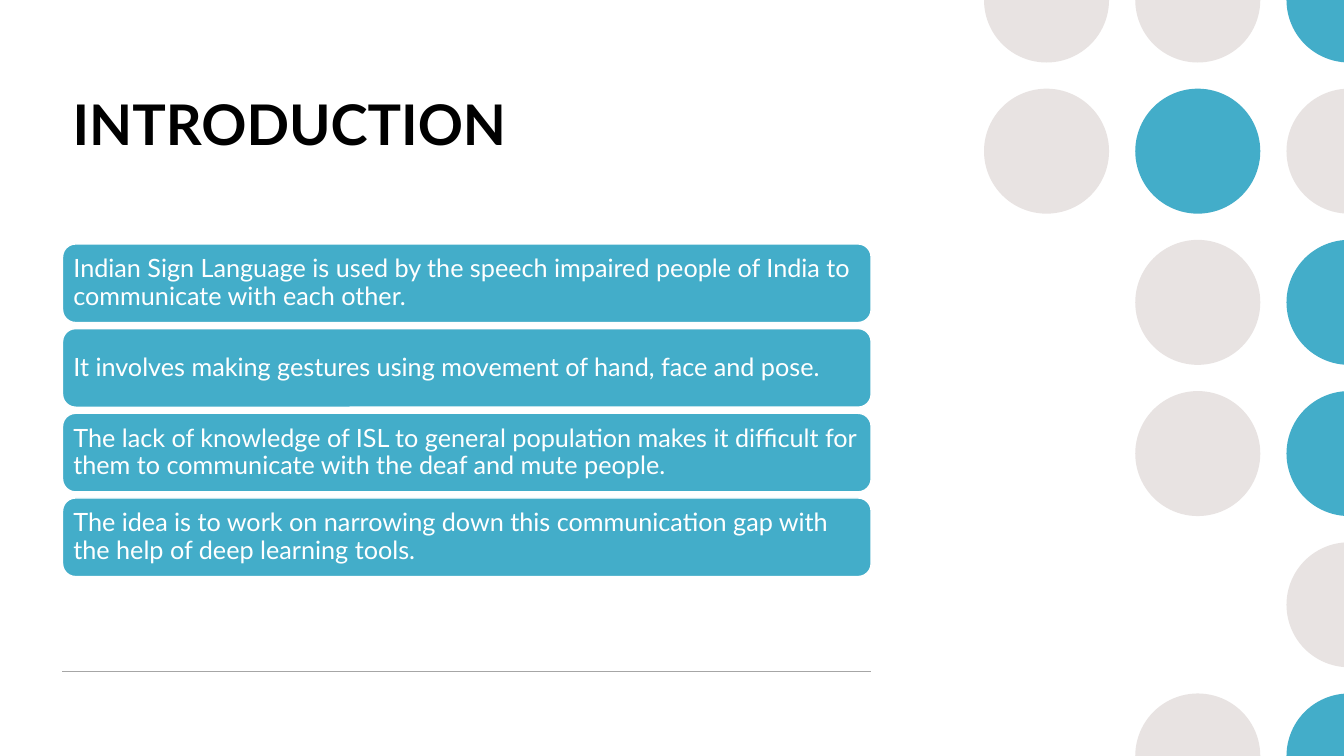
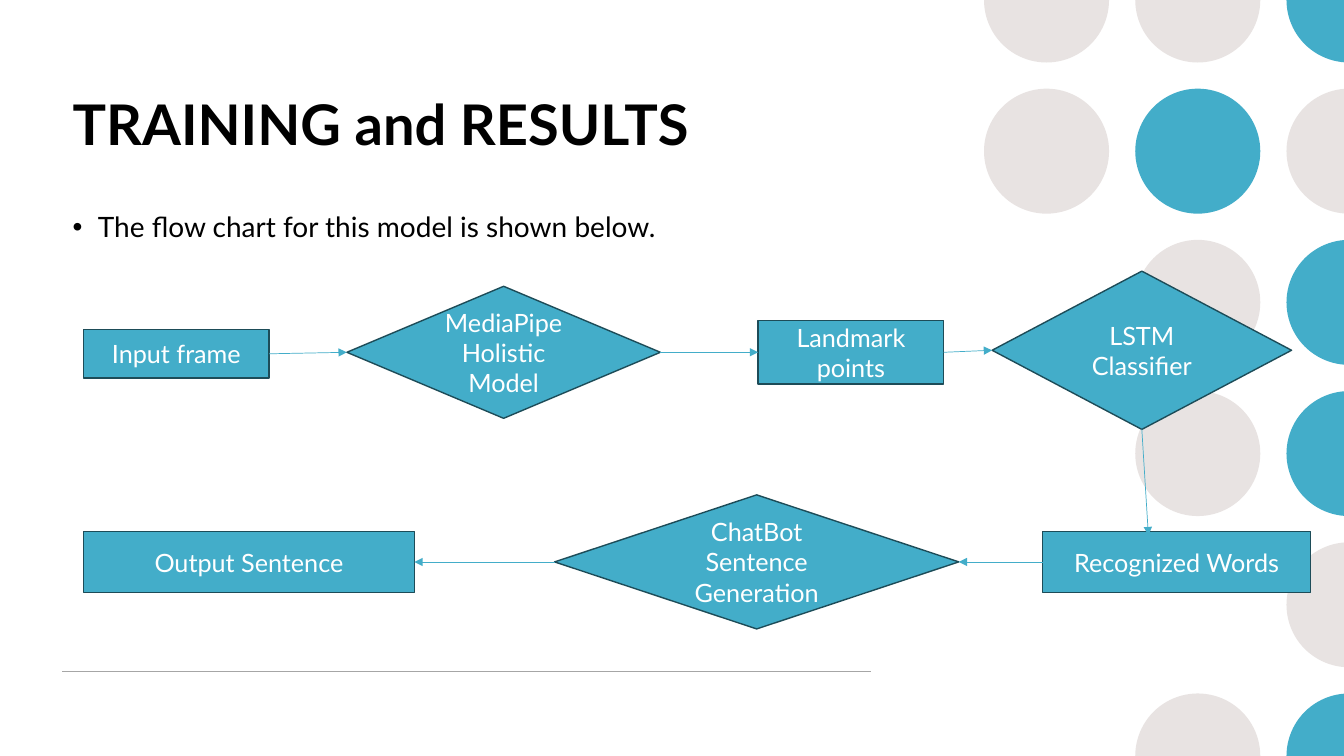
from dataclasses import dataclass
from typing import NamedTuple, Optional

from pptx import Presentation
from pptx.dml.color import RGBColor
from pptx.enum.shapes import MSO_CONNECTOR, MSO_SHAPE
from pptx.enum.text import MSO_ANCHOR, PP_ALIGN
from pptx.oxml.ns import qn
from pptx.oxml.xmlchemy import OxmlElement
from pptx.shapes.autoshape import Shape
from pptx.shapes.connector import Connector
from pptx.slide import Slide
from pptx.text.text import TextFrame
from pptx.util import Inches, Pt

SLIDE_W, SLIDE_H = 13.33, 7.5
MARGIN = 0.62
CONTENT_W = 8.02
TOP, LEFT, BOTTOM, RIGHT = range(4)


@dataclass(frozen=True)
class Theme:
    font: str = "Lato"
    teal: RGBColor = RGBColor(0x43, 0xAD, 0xC9)
    dark_teal: RGBColor = RGBColor(0x1D, 0x4C, 0x58)
    pale: RGBColor = RGBColor(0xE8, 0xE3, 0xE2)
    rule: RGBColor = RGBColor(0xA6, 0xA6, 0xA6)
    black: RGBColor = RGBColor(0, 0, 0)
    white: RGBColor = RGBColor(0xFF, 0xFF, 0xFF)
    title_size: int = 40
    body_size: int = 20
    label_size: int = 18


THEME = Theme()


class Dot(NamedTuple):
    col: int
    row: int
    color: RGBColor


class Step(NamedTuple):
    text: str
    kind: MSO_SHAPE
    left: float
    top: float
    width: float
    height: float


class Arrow(NamedTuple):
    start: str
    start_side: int
    end: str
    end_side: int
    end_at: Optional[tuple[float, float]] = None


DOT_SIZE = 1.24
DOT_PITCH = 1.5
FIRST_DOT_X = 10.38
DOTS = [
    Dot(0, 0, THEME.pale), Dot(1, 0, THEME.pale), Dot(2, 0, THEME.teal),
    Dot(0, 1, THEME.pale), Dot(1, 1, THEME.teal), Dot(2, 1, THEME.pale),
    Dot(1, 2, THEME.pale), Dot(2, 2, THEME.teal),
    Dot(1, 3, THEME.pale), Dot(2, 3, THEME.teal),
    Dot(2, 4, THEME.pale),
    Dot(1, 5, THEME.pale), Dot(2, 5, THEME.teal),
]

CARD_TOP, CARD_H, CARD_PITCH = 2.42, 0.78, 0.84
CARDS = [
    "Indian Sign Language is used by the speech impaired people of India to communicate with each other.",
    "It involves making gestures using movement of hand, face and pose.",
    "The lack of knowledge of ISL to general population makes it difficult for them to communicate "
    "with the deaf and mute people.",
    "The idea is to work on narrowing down this communication gap with the help of deep learning tools.",
]

BOX, DIAMOND = MSO_SHAPE.RECTANGLE, MSO_SHAPE.DIAMOND
STEPS = {
    "input": Step("Input frame", BOX, 0.83, 3.27, 1.84, 0.48),
    "holistic": Step("MediaPipe Holistic Model", DIAMOND, 3.44, 2.84, 3.11, 1.31),
    "landmarks": Step("Landmark points", BOX, 7.52, 3.18, 1.84, 0.63),
    "lstm": Step("LSTM Classifier", DIAMOND, 9.84, 2.69, 2.97, 1.57),
    "words": Step("Recognized Words", BOX, 10.34, 5.27, 2.66, 0.61),
    "sentence": Step("ChatBot\nSentence Generation", DIAMOND, 5.5, 4.91, 4.01, 1.33),
    "output": Step("Output Sentence", BOX, 0.83, 5.27, 3.28, 0.61),
}
ARROWS = [
    Arrow("input", RIGHT, "holistic", LEFT),
    Arrow("holistic", RIGHT, "landmarks", LEFT),
    Arrow("landmarks", RIGHT, "lstm", LEFT),
    Arrow("lstm", BOTTOM, "words", TOP, end_at=(11.39, 5.31)),
    Arrow("words", LEFT, "sentence", RIGHT),
    Arrow("sentence", LEFT, "output", RIGHT),
]


def style_text(tf: TextFrame, size: int, color: RGBColor, align: PP_ALIGN,
               anchor: MSO_ANCHOR, bold: bool = False, spacing: float = 1.0) -> None:
    tf.word_wrap = True
    tf.vertical_anchor = anchor
    for p in tf.paragraphs:
        p.alignment = align
        p.line_spacing = spacing
        p.space_before = Pt(0)
        for r in p.runs:
            r.font.name = THEME.font
            r.font.size = Pt(size)
            r.font.bold = bold
            r.font.color.rgb = color


def paint(sp: Shape, fill: RGBColor, line: Optional[RGBColor] = None) -> None:
    sp.shadow.inherit = False
    sp.fill.solid()
    sp.fill.fore_color.rgb = fill
    if line is None:
        sp.line.fill.background()
    else:
        sp.line.color.rgb = line
        sp.line.width = Pt(1)


def add_line(s: Slide, start: tuple[float, float], end: tuple[float, float],
             color: RGBColor, width: float) -> Connector:
    line = s.shapes.add_connector(MSO_CONNECTOR.STRAIGHT, *map(Inches, start + end))
    line.line.color.rgb = color
    line.line.width = Pt(width)
    line.element.spPr.append(OxmlElement("a:effectLst"))
    return line


def add_dot(s: Slide, dot: Dot) -> Shape:
    left = FIRST_DOT_X + dot.col * DOT_PITCH - DOT_SIZE / 2
    top = dot.row * DOT_PITCH - DOT_SIZE / 2
    sp = s.shapes.add_shape(MSO_SHAPE.OVAL, Inches(left), Inches(top),
                            Inches(DOT_SIZE), Inches(DOT_SIZE))
    paint(sp, dot.color)
    return sp


def decorate_master(prs: Presentation, s: Slide) -> None:
    """Draw the dots and the rule on a slide, then move them to its master."""
    decor = [add_dot(s, dot) for dot in DOTS]
    rule_y = 6.66
    decor.append(add_line(s, (MARGIN, rule_y), (MARGIN + CONTENT_W, rule_y), THEME.rule, 1))
    for shape_id, sp in enumerate(decor, start=100):
        sp.element.xpath(".//p:cNvPr")[0].set("id", str(shape_id))
        prs.slide_master.shapes.element.append(sp.element)


def place(sp: Shape, left: float, top: float, width: float, height: float) -> None:
    sp.left, sp.top, sp.width, sp.height = map(Inches, (left, top, width, height))


def set_title(s: Slide, text: str) -> None:
    title = s.shapes.title
    place(title, MARGIN, 0.84, 10.06, 1.39)
    title.text_frame.text = text
    style_text(title.text_frame, THEME.title_size, THEME.black, PP_ALIGN.LEFT, MSO_ANCHOR.TOP, bold=True)


def set_bullet(s: Slide, text: str) -> None:
    body = s.placeholders[1]
    place(body, MARGIN, 2.03, 11.23, 4.27)
    tf = body.text_frame
    tf.text = text
    pPr = tf.paragraphs[0]._p.get_or_add_pPr()
    pPr.set("marL", str(Inches(0.25)))
    pPr.set("indent", str(-Inches(0.25)))
    bullet = OxmlElement("a:buChar")
    bullet.set("char", "•")
    pPr.append(bullet)
    style_text(tf, THEME.body_size, THEME.black, PP_ALIGN.JUSTIFY, MSO_ANCHOR.TOP)


def add_card(s: Slide, index: int, text: str) -> None:
    sp = s.shapes.add_shape(MSO_SHAPE.ROUNDED_RECTANGLE, Inches(MARGIN),
                            Inches(CARD_TOP + index * CARD_PITCH), Inches(CONTENT_W), Inches(CARD_H))
    paint(sp, THEME.teal, THEME.white)
    tf = sp.text_frame
    tf.text = text
    tf.margin_left = tf.margin_right = Inches(0.07)
    style_text(tf, THEME.label_size, THEME.white, PP_ALIGN.LEFT, MSO_ANCHOR.MIDDLE, spacing=0.9)


def add_step(s: Slide, step: Step) -> Shape:
    sp = s.shapes.add_shape(step.kind, Inches(step.left), Inches(step.top),
                            Inches(step.width), Inches(step.height))
    paint(sp, THEME.teal, THEME.dark_teal)
    sp.text_frame.text = step.text
    style_text(sp.text_frame, THEME.label_size, THEME.white, PP_ALIGN.CENTER, MSO_ANCHOR.MIDDLE)
    return sp


def add_arrow(s: Slide, arrow: Arrow, steps: dict[str, Shape]) -> None:
    line = add_line(s, (0, 0), arrow.end_at or (0, 0), THEME.teal, 0.5)
    line.begin_connect(steps[arrow.start], arrow.start_side)
    if arrow.end_at is None:
        line.end_connect(steps[arrow.end], arrow.end_side)
    head = OxmlElement("a:tailEnd")
    head.set("type", "triangle")
    line.element.spPr.find(qn("a:ln")).append(head)


def build_introduction(prs: Presentation) -> Slide:
    s = prs.slides.add_slide(prs.slide_layouts[5])
    set_title(s, "INTRODUCTION")
    for i, text in enumerate(CARDS):
        add_card(s, i, text)
    return s


def build_training(prs: Presentation) -> None:
    s = prs.slides.add_slide(prs.slide_layouts[1])
    set_title(s, "TRAINING and RESULTS")
    set_bullet(s, "The flow chart for this model is shown below.")
    steps = {name: add_step(s, step) for name, step in STEPS.items()}
    for arrow in ARROWS:
        add_arrow(s, arrow, steps)


def main() -> None:
    prs = Presentation()
    prs.slide_width, prs.slide_height = Inches(SLIDE_W), Inches(SLIDE_H)
    introduction = build_introduction(prs)
    decorate_master(prs, introduction)
    build_training(prs)
    prs.save("out.pptx")


if __name__ == "__main__":
    main()
